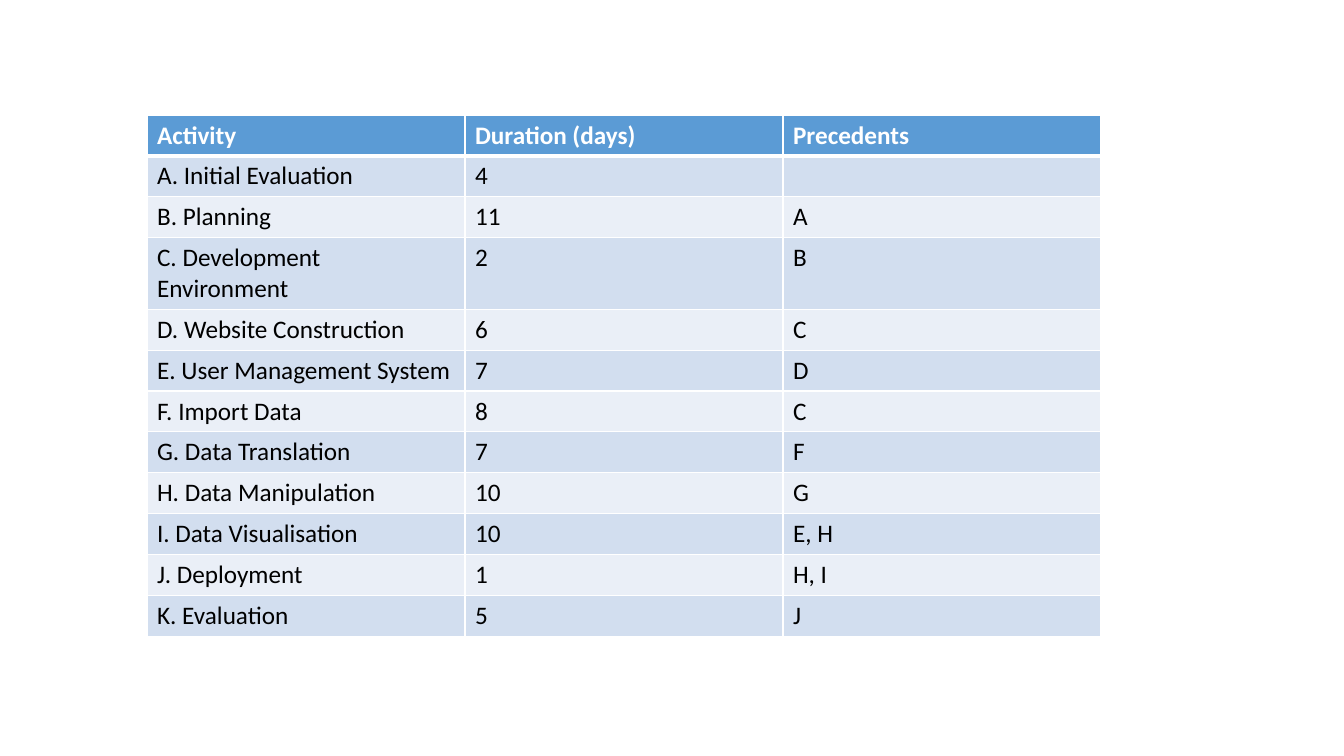
from lxml.etree import SubElement
from pptx import Presentation
from pptx.dml.color import RGBColor as Color
from pptx.oxml.ns import qn
from pptx.util import Emu, Pt

SCALE = 914400 / 100.8
COLORS = {
    "header": "5B9BD5",
    "odd": "D2DEEF",
    "even": "EAEFF7",
    "white": "FFFFFF",
    "black": "000000",
}


def px(length):
    return Emu(round(length * SCALE))


class Painter:
    font = "Calibri"
    size = 18
    blank_layout = 6

    def __init__(self, deck):
        self.page = deck.slides.add_slide(deck.slide_layouts[self.blank_layout])

    def span(self, para, text, color, bold):
        span = para.add_run()
        span.text = text
        span.font.name = self.font
        span.font.size = Pt(self.size)
        span.font.bold = bold
        span.font.color.rgb = Color.from_string(COLORS[color])

    def borders(self, cell, bottom):
        properties = cell._tc.get_or_add_tcPr()
        widths = {"a:lnL": 1, "a:lnR": 1, "a:lnT": 1, "a:lnB": bottom}
        for index, (side, width) in enumerate(widths.items()):
            line = properties.makeelement(qn(side), {"w": str(Pt(width))})
            fill = SubElement(line, qn("a:solidFill"))
            SubElement(fill, qn("a:srgbClr"), val=COLORS["white"])
            properties.insert(index, line)

    def cell(self, cell, text, fill, color, bold, bottom):
        cell.fill.solid()
        cell.fill.fore_color.rgb = Color.from_string(COLORS[fill])
        self.borders(cell, bottom)
        para = cell.text_frame.paragraphs[0]
        para.font.size = Pt(self.size)
        if text:
            self.span(para, text, color, bold)

    def table(self, left, top, column_width, row_height, rows):
        columns = len(rows[0])
        table = self.page.shapes.add_table(
            len(rows), columns, px(left), px(top),
            px(column_width * columns), px(row_height * len(rows)),
        ).table
        for column in table.columns:
            column.width = px(column_width)
        for index, values in enumerate(rows):
            table.rows[index].height = px(row_height)
            if index == 0:
                style = ("header", "white", True, 3)
            else:
                style = ("odd" if index % 2 else "even", "black", False, 1)
            for cell, text in zip(table.rows[index].cells, values):
                self.cell(cell, text, *style)


ACTIVITIES = [
    ("Activity", "Duration (days)", "Precedents"),
    ("A. Initial Evaluation", "4", ""),
    ("B. Planning", "11", "A"),
    ("C. Development Environment", "2", "B"),
    ("D. Website Construction", "6", "C"),
    ("E. User Management System", "7", "D"),
    ("F. Import Data", "8", "C"),
    ("G. Data Translation", "7", "F"),
    ("H. Data Manipulation", "10", "G"),
    ("I. Data Visualisation", "10", "E, H"),
    ("J. Deployment", "1", "H, I"),
    ("K. Evaluation", "5", "J"),
]

deck = Presentation()
deck.slide_width = px(1344)
deck.slide_height = px(756)
painter = Painter(deck)
painter.table(147, 115, 318, 22, ACTIVITIES)
deck.save("out.pptx")
